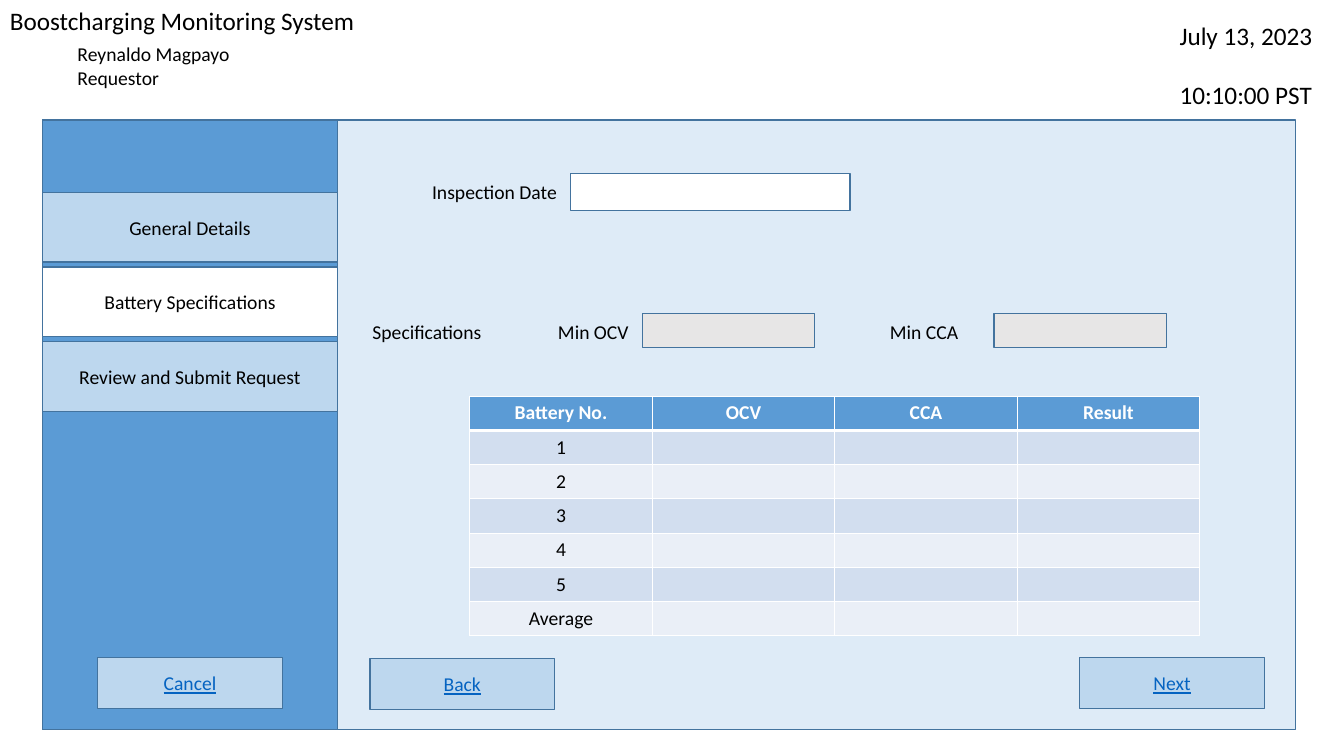
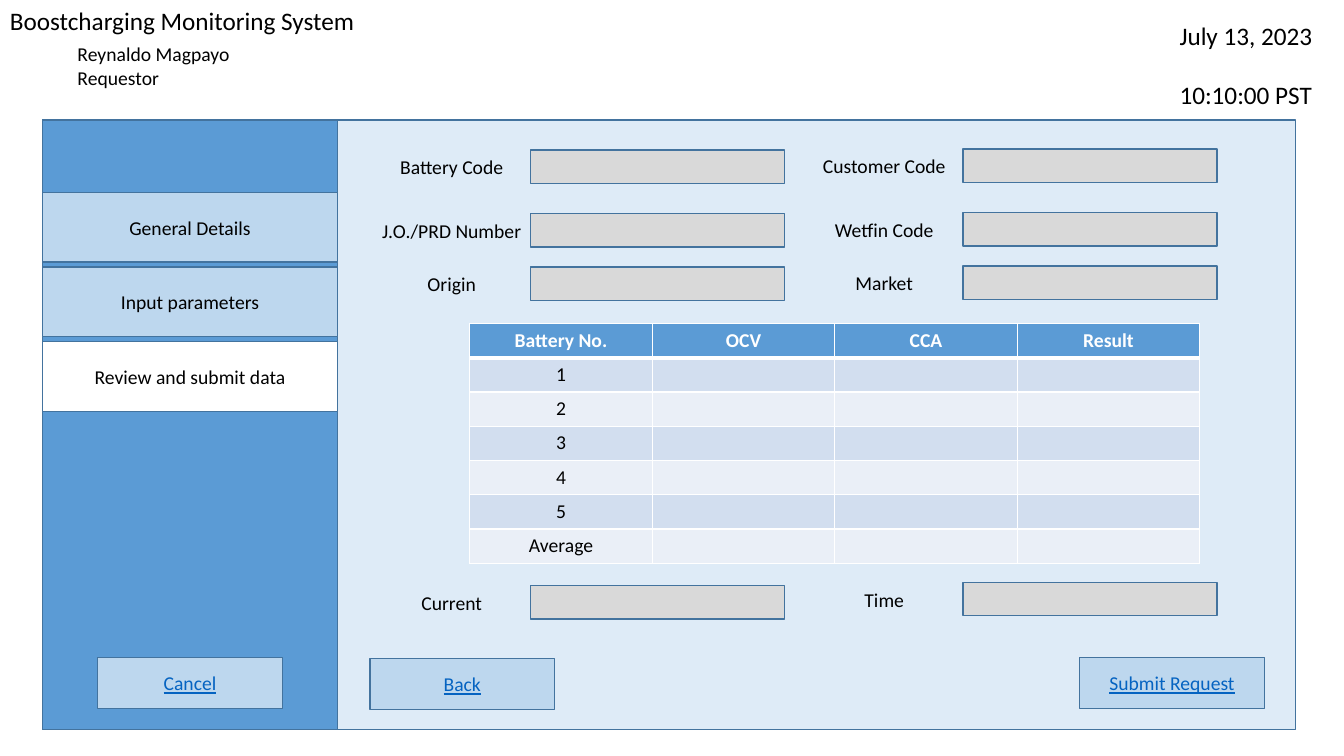
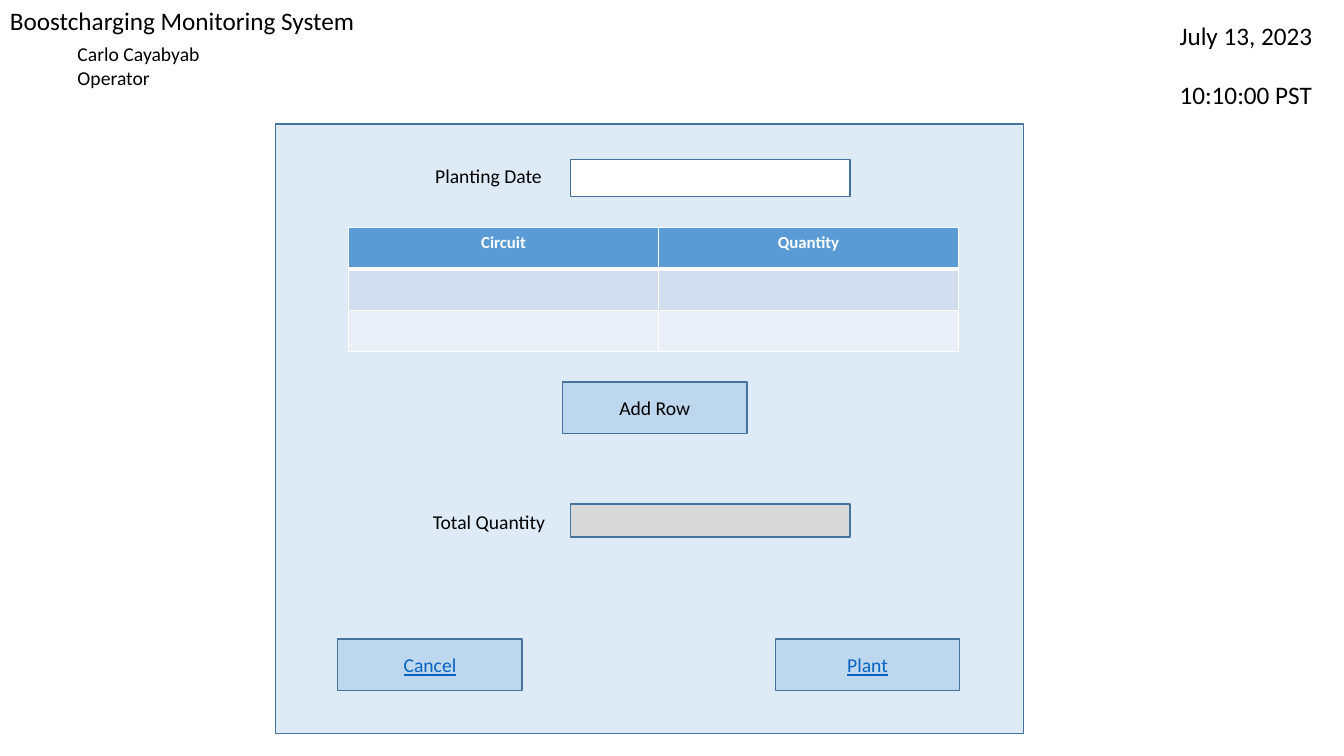
from pptx import Presentation
from pptx.dml.color import RGBColor
from pptx.enum.shapes import MSO_SHAPE as Shape
from pptx.enum.text import MSO_ANCHOR as Anchor, PP_ALIGN as Align
from pptx.oxml import parse_xml
from pptx.oxml.ns import nsdecls
from pptx.util import Inches, Pt

BLACK = RGBColor(0x00, 0x00, 0x00)
WHITE = RGBColor(0xFF, 0xFF, 0xFF)
BLUE = RGBColor(0x5B, 0x9B, 0xD5)
LIGHT_BLUE = RGBColor(0xBD, 0xD7, 0xEE)
PALE_BLUE = RGBColor(0xDE, 0xEB, 0xF7)
OUTLINE = RGBColor(0x43, 0x73, 0x9E)
LINK_BLUE = RGBColor(0x05, 0x63, 0xC1)
READ_ONLY = RGBColor(0xD9, 0xD9, 0xD9)
SPEC_GRAY = RGBColor(0xE7, 0xE6, 0xE6)
BANDS = (RGBColor(0xD2, 0xDE, 0xEF), RGBColor(0xEA, 0xEF, 0xF7))

FONT = "Calibri"
BATTERY_ROWS = [["Battery No.", "OCV", "CCA", "Result"]] + [
    [name, "", "", ""] for name in ("1", "2", "3", "4", "5", "Average")]


def write(frame, text, size=14, color=BLACK, bold=False, underline=False,
          align=Align.LEFT, gap=0):
    """Fill a text frame, one paragraph per line, with gap points between."""
    frame.word_wrap = True
    for number, line in enumerate(text.split("\n")):
        paragraph = frame.add_paragraph() if number else frame.paragraphs[0]
        paragraph.alignment = align
        if number and gap:
            paragraph.space_before = Pt(gap)
        if not line:
            paragraph._p.get_or_add_endParaRPr().set("sz", str(size * 100))
            continue
        run = paragraph.add_run()
        run.text = line
        font = run.font
        font.name, font.size, font.bold = FONT, Pt(size), bold
        font.underline = underline
        font.color.rgb = color


def set_borders(cell, top=1, bottom=1):
    """Give a cell white borders, widths in points."""
    properties = cell._tc.get_or_add_tcPr()
    widths = {"lnL": 1, "lnR": 1, "lnT": top, "lnB": bottom}
    for position, (side, width) in enumerate(widths.items()):
        properties.insert(position, parse_xml(
            f'<a:{side} {nsdecls("a")} w="{Pt(width)}"><a:solidFill>'
            f'<a:srgbClr val="{WHITE}"/></a:solidFill></a:{side}>'))


class FormDeck:
    def __init__(self):
        self.deck = Presentation()
        self.deck.slide_width, self.deck.slide_height = Inches(13.33), Inches(7.5)
        self.slide = None

    def new_screen(self, user, role):
        self.slide = self.deck.slides.add_slide(self.deck.slide_layouts[6])
        self.text("Boostcharging Monitoring System", 0, 0, 9.97, 0.4, size=18)
        self.text("July 13, 2023\n10:10:00 PST", 11.6, 0.15, 1.69, 1.02,
                  size=18, gap=21)
        self.text(f"{user}\n{role}", 0.67, 0.37, 2.68, 0.57)

    def text(self, text, left, top, width, height, **style):
        box = self.slide.shapes.add_textbox(
            Inches(left), Inches(top), Inches(width), Inches(height))
        write(box.text_frame, text, **style)

    def box(self, left, top, width, height, fill, text="", **style):
        box = self.slide.shapes.add_shape(
            Shape.RECTANGLE, Inches(left), Inches(top), Inches(width), Inches(height))
        box.shadow.inherit = False
        box.fill.solid()
        box.fill.fore_color.rgb = fill
        box.line.color.rgb = OUTLINE
        box.line.width = Pt(1)
        box.text_frame.vertical_anchor = Anchor.MIDDLE
        write(box.text_frame, text, align=Align.CENTER, **style)

    def label(self, text, left, top, width=1.51):
        self.text(text, left, top, width, 0.34, align=Align.CENTER)

    def button(self, text, left, top, **style):
        self.box(left, top, 1.83, 0.51, LIGHT_BLUE, text, **style)

    def link(self, text, left, top):
        self.button(text, left, top, color=LINK_BLUE, underline=True)

    def steps(self, names, current, forward):
        """Draw the panel, the step menu and the navigation buttons."""
        self.box(0.42, 1.19, 12.43, 6.05, PALE_BLUE)
        self.box(0.42, 1.19, 2.93, 6.05, BLUE)
        for number, name in enumerate(names):
            self.box(0.42, 1.91 + 0.74 * number, 2.93, 0.69,
                     WHITE if name == current else LIGHT_BLUE, name)
        self.link("Cancel", 0.97, 6.52)
        self.link("Back", 3.67, 6.53)
        self.link(forward, 10.71, 6.52)

    def table(self, rows, left, top, widths, row_height, size=14):
        table = self.slide.shapes.add_table(
            len(rows), len(widths), Inches(left), Inches(top),
            Inches(sum(widths)), Inches(row_height * len(rows))).table
        for column, width in zip(table.columns, widths):
            column.width = Inches(width)
        for r, row in enumerate(rows):
            table.rows[r].height = Inches(row_height)
            header = r == 0
            for c, value in enumerate(row):
                cell = table.cell(r, c)
                cell.fill.solid()
                cell.fill.fore_color.rgb = BLUE if header else BANDS[(r - 1) % 2]
                set_borders(cell, top=3 if r == 1 else 1, bottom=3 if header else 1)
                write(cell.text_frame, value, size=size, bold=header,
                      color=WHITE if header else BLACK, align=Align.CENTER)

    def battery_table(self, top):
        self.table(BATTERY_ROWS, 4.66, top, [1.81] * 4, 0.34)


def battery_specifications(form):
    form.new_screen("Reynaldo Magpayo", "Requestor")
    form.steps(["General Details", "Battery Specifications",
                "Review and Submit Request"], "Battery Specifications", "Next")
    form.label("Inspection Date", 4.15, 1.74)
    form.box(5.66, 1.72, 2.77, 0.37, WHITE)
    form.label("Specifications", 3.48, 3.12)
    for name, label_left, field_left in (("Min OCV", 5.13, 6.37),
                                         ("Min CCA", 8.41, 9.86)):
        form.label(name, label_left, 3.12)
        form.box(field_left, 3.11, 1.71, 0.34, SPEC_GRAY)
    form.battery_table(3.93)


def review_data(form):
    form.new_screen("Reynaldo Magpayo", "Requestor")
    form.steps(["General Details", "Input parameters", "Review and submit data"],
               "Review and submit data", "Submit Request")
    columns = (
        (3.49, (("Battery Code", 1.49), ("J.O./PRD Number", 2.12),
                ("Origin", 2.65), ("Current", 5.81))),
        (7.78, (("Customer Code", 1.48), ("Wetfin Code", 2.11),
                ("Market", 2.64), ("Time", 5.78))))
    for left, fields in columns:
        for name, top in fields:
            form.box(left + 1.77, top, 2.52, 0.33, READ_ONLY)
            form.label(name, left, top, 1.98)
    form.battery_table(3.21)


def planting(form):
    form.new_screen("Carlo Cayabyab", "Operator")
    form.box(2.73, 1.23, 7.42, 6.05, PALE_BLUE)
    form.label("Planting Date", 4.09, 1.58)
    form.box(5.66, 1.58, 2.77, 0.37, WHITE)
    form.table([["Circuit", "Quantity"], ["", ""], ["", ""]],
               3.46, 2.26, [3.07, 2.98], 0.41, size=12)
    form.button("Add Row", 5.58, 3.79)
    form.label("Total Quantity", 3.86, 5.01, 1.98)
    form.box(5.66, 5, 2.77, 0.33, READ_ONLY)
    form.link("Cancel", 3.35, 6.34)
    form.link("Plant", 7.69, 6.34)


def main():
    form = FormDeck()
    battery_specifications(form)
    review_data(form)
    planting(form)
    form.deck.save("out.pptx")


if __name__ == "__main__":
    main()
